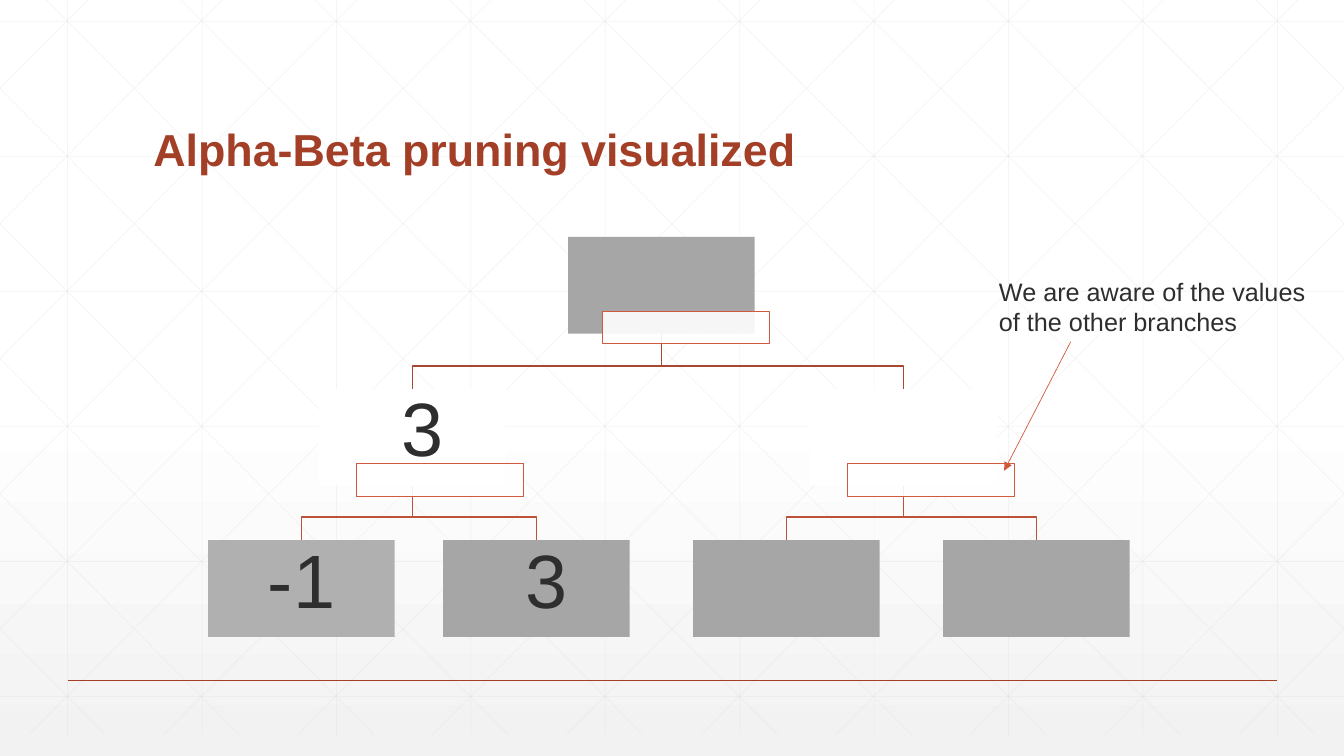
import copy

import pptx
import pptx.dml.color
import pptx.enum.shapes
import pptx.enum.text
import pptx.oxml
import pptx.oxml.ns
import pptx.util

Inches = pptx.util.Inches
Pt = pptx.util.Pt
qn = pptx.oxml.ns.qn
SHAPE = pptx.enum.shapes.MSO_SHAPE
ANCHOR = pptx.enum.text.MSO_ANCHOR
ALIGN = pptx.enum.text.PP_ALIGN

COLORS = {
    "white": "FFFFFF", "haze": "F2F2F2", "grid": "D9D9D9", "rust": "A43F27",
    "trunk": "A74832", "branch": "BE5238", "accent": "D15A3E",
    "node": "A6A6A6", "first leaf": "B0B0B0", "ink": "2D2E2D",
}
WIDTH, HEIGHT = 13.33, 7.5
GRID_TOP, GRID_BOTTOM, GRID_STEP = -0.21, 7.29, 4 / 3
DIAGONAL_RUN = 7.46
NODE_WIDTH, NODE_HEIGHT = 1.85, 0.96
LEVELS = [2.35, 3.86, 5.36]
NODES = {
    "root": (6.56, 0, "node", "", 0.34),
    "left": (4.09, 1, "white", " 3", 0.37),
    "leaf 1": (2.99, 2, "first leaf", "-1", None),
    "leaf 2": (5.32, 2, "node", " 3", None),
    "right": (8.96, 1, "white", "", 0.37),
    "leaf 3": (7.8, 2, "node", "", None),
    "leaf 4": (10.28, 2, "node", "", None),
}
LINKS = [
    ("right", "leaf 4", "branch"), ("right", "leaf 3", "branch"),
    ("root", "right", "trunk"), ("left", "leaf 2", "branch"),
    ("left", "leaf 1", "branch"), ("root", "left", "trunk"),
]


class TreeSlide:
    font = "Arial"

    def __init__(self, deck):
        self.page = deck.slides.add_slide(deck.slide_layouts[5])

    def rgb(self, name):
        return pptx.dml.color.RGBColor.from_string(COLORS[name])

    def fade(self, properties, percent):
        color = properties.find(".//" + qn("a:srgbClr"))
        alpha = pptx.oxml.parse_xml(f'<a:alpha {pptx.oxml.ns.nsdecls("a")} val="{percent * 1000}"/>')
        color.append(alpha)

    def background(self):
        fill = self.page.background.fill
        fill.gradient()
        fill.gradient_angle = 270
        for stop, name in zip(fill.gradient_stops, ("white", "haze")):
            stop.color.rgb = self.rgb(name)
        stops = self.page.element.find(".//" + qn("a:gsLst"))
        middle = copy.deepcopy(stops[0])
        middle.set("pos", "53000")
        stops.insert(1, middle)

    def line(self, start, end, color, weight, opacity=100, arrow=False):
        points = [Inches(value) for value in (*start, *end)]
        link = self.page.shapes.add_connector(pptx.enum.shapes.MSO_CONNECTOR.STRAIGHT, *points)
        link.line.color.rgb = self.rgb(color)
        link.line.width = Pt(weight)
        properties = link.element.spPr
        if opacity < 100:
            self.fade(properties, opacity)
        if arrow:
            head = pptx.oxml.parse_xml(f'<a:tailEnd {pptx.oxml.ns.nsdecls("a")} type="triangle"/>')
            properties.find(qn("a:ln")).append(head)
        properties.append(pptx.oxml.parse_xml(f'<a:effectLst {pptx.oxml.ns.nsdecls("a")}/>'))

    def grid_line(self, start, end):
        self.line(start, end, "grid", 0.5, 25)

    def set_text(self, para, text, size, color, bold=False):
        para.text = text
        para.font.name = self.font
        para.font.size = Pt(size)
        para.font.bold = bold
        para.font.color.rgb = self.rgb(color)

    def title(self, text, left, top, width, height):
        box = self.page.shapes.title
        self.page.shapes.element.append(box.element)
        box.left, box.top, box.width, box.height = map(Inches, (left, top, width, height))
        box.text_frame.vertical_anchor = ANCHOR.BOTTOM
        para = box.text_frame.paragraphs[0]
        self.set_text(para, text, 32, "rust", True)
        para.alignment = ALIGN.LEFT
        para.line_spacing = 0.9

    def elbow(self, start, end, color):
        bend = end[1] - 0.23
        builder = self.page.shapes.build_freeform(Inches(start[0]), Inches(start[1]))
        corners = [(start[0], bend), (end[0], bend), end]
        builder.add_line_segments([(Inches(x), Inches(y)) for x, y in corners], close=False)
        shape = builder.convert_to_shape()
        shape.shadow.inherit = False
        shape.fill.background()
        shape.line.color.rgb = self.rgb(color)
        shape.line.width = Pt(1)

    def rectangle(self, left, top, width, height, fill):
        box = self.page.shapes.add_shape(SHAPE.RECTANGLE, *map(Inches, (left, top, width, height)))
        box.shadow.inherit = False
        box.fill.solid()
        box.fill.fore_color.rgb = self.rgb(fill)
        box.line.fill.background()
        return box

    def node(self, center, level, fill, text, bar_offset):
        left, top = center - NODE_WIDTH / 2, LEVELS[level]
        box = self.rectangle(left, top, NODE_WIDTH, NODE_HEIGHT, fill)
        if text:
            frame = box.text_frame
            frame.margin_left = frame.margin_right = frame.margin_top = Inches(0.04)
            frame.margin_bottom = Inches(0.14)
            frame.vertical_anchor = ANCHOR.MIDDLE
            para = frame.paragraphs[0]
            self.set_text(para, text, 54, "ink")
            para.alignment = ALIGN.CENTER
            para.line_spacing = 0.9
        if bar_offset is not None:
            bar = self.rectangle(left + bar_offset, top + 0.74, 1.66, 0.32, "white")
            self.fade(bar.element.spPr, 90)
            bar.line.color.rgb = self.rgb("accent")
            bar.line.width = Pt(0.5)

    def note(self, rows, left, top, width, height):
        box = self.page.shapes.add_textbox(*map(Inches, (left, top, width, height)))
        frame = box.text_frame
        frame.word_wrap = False
        frame.auto_size = pptx.enum.text.MSO_AUTO_SIZE.SHAPE_TO_FIT_TEXT
        for index, row in enumerate(rows):
            para = frame.add_paragraph() if index else frame.paragraphs[0]
            self.set_text(para, row, 18, "ink")

    def grid(self):
        for column in range(10):
            x = 0.67 + column * GRID_STEP
            self.grid_line((x, GRID_TOP), (x, GRID_BOTTOM))
        for row in range(6):
            y = 0.21 + row * 1.34
            self.grid_line((0, y), (WIDTH, y))
        slope = (GRID_BOTTOM - GRID_TOP) / DIAGONAL_RUN
        for step in range(-5, 10):
            origin = 0.25 + step * GRID_STEP
            ends = [max(origin, 0), min(origin + DIAGONAL_RUN, WIDTH)]
            falling = [(x, GRID_TOP + (x - origin) * slope) for x in ends]
            self.grid_line(*falling)
            self.grid_line(*[(WIDTH - x, y) for x, y in falling])


def main():
    deck = pptx.Presentation()
    deck.slide_width, deck.slide_height = Inches(WIDTH), Inches(HEIGHT)
    slide = TreeSlide(deck)
    slide.background()
    slide.grid()
    slide.line((0.67, 6.75), (12.67, 6.75), "rust", 1)
    slide.title("Alpha-Beta pruning visualized", 1.42, 0.55, 10.5, 1.25)
    for parent, child, color in LINKS:
        parent_x, parent_level = NODES[parent][:2]
        child_x, child_level = NODES[child][:2]
        start = (parent_x, LEVELS[parent_level] + NODE_HEIGHT)
        slide.elbow(start, (child_x, LEVELS[child_level]), color)
    for node in NODES.values():
        slide.node(*node)
    slide.line((10.62, 3.39), (9.96, 4.67), "accent", 0.5, arrow=True)
    slide.note(["We are aware of the values", "of the other branches"], 9.81, 2.69, 3.34, 0.71)
    deck.save("out.pptx")


if __name__ == "__main__":
    main()
